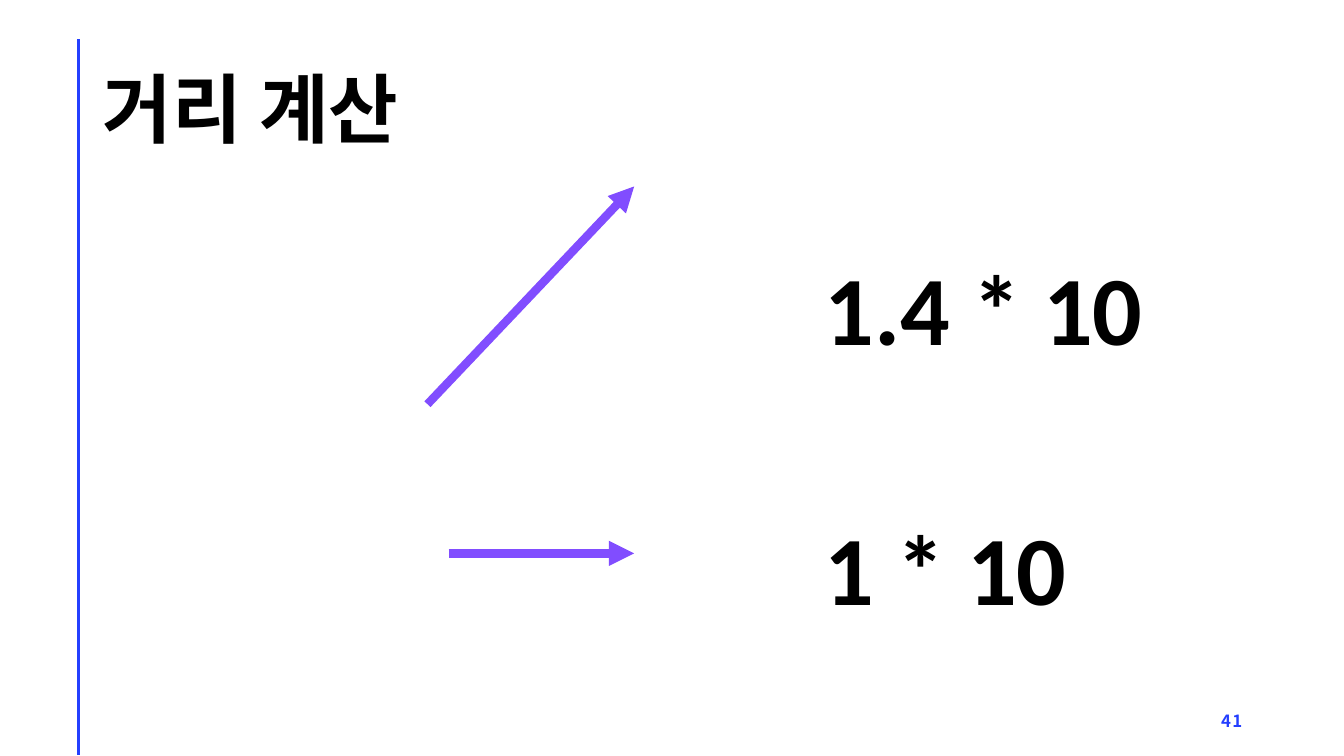
from lxml.etree import SubElement
from pptx import Presentation
from pptx.dml.color import RGBColor
from pptx.enum.shapes import MSO_CONNECTOR
from pptx.enum.text import MSO_ANCHOR, MSO_AUTO_SIZE, PP_ALIGN
from pptx.oxml.ns import qn
from pptx.util import Inches, Pt

BLACK, BLUE, PURPLE = "000000", "243FFF", "814DFF"
KOREAN = "Noto Sans CJK KR"


def write(box, text, size, font=KOREAN, color=BLACK, align=PP_ALIGN.LEFT,
          anchor=MSO_ANCHOR.TOP, leading=None, tracking=None):
    frame = box.text_frame
    frame.word_wrap = True
    frame.vertical_anchor = anchor
    para = frame.paragraphs[0]
    para.alignment = align
    if leading:
        para.line_spacing = leading
    span = para.add_run()
    span.text = text
    span.font.size = Pt(size)
    span.font.bold = True
    span.font.name = font
    span.font.color.rgb = RGBColor.from_string(color)
    props = span.font._element
    SubElement(props, qn("a:ea"), typeface=font)
    if tracking:
        props.set("spc", str(tracking * 100))


def draw_line(page, start, end, color, width, arrow=False):
    line = page.shapes.add_connector(
        MSO_CONNECTOR.STRAIGHT, *[Inches(value) for value in start + end])
    line.line.color.rgb = RGBColor.from_string(color)
    line.line.width = Pt(width)
    if arrow:
        SubElement(line.line._get_or_add_ln(), qn("a:tailEnd"), type="triangle")
    SubElement(line._element.spPr, qn("a:effectLst"))


deck = Presentation()
deck.slide_width, deck.slide_height = Inches(13.33), Inches(7.5)
page = deck.slides.add_slide(deck.slide_layouts[5])

draw_line(page, (0.78, 0.39), (0.78, 7.49), BLUE, 2)

title = page.shapes.title
title.left, title.top = Inches(0.92), Inches(0.4)
title.width, title.height = Inches(11.5), Inches(1.45)
write(title, "거리 계산", 54, anchor=MSO_ANCHOR.MIDDLE, leading=0.9)

number = page.shapes.add_textbox(Inches(9.42), Inches(6.95), Inches(3), Inches(0.4))
write(number, "41", 12, color=BLUE, align=PP_ALIGN.RIGHT,
      anchor=MSO_ANCHOR.MIDDLE, tracking=1)

for start, end in [((4.24, 4.01), (6.29, 1.85)), ((4.45, 5.49), (6.29, 5.49))]:
    draw_line(page, start, end, PURPLE, 6, arrow=True)

for text, top, width in [("1 * 10", 4.99, 4.02), ("1.4 * 10", 2.41, 3.76)]:
    cost = page.shapes.add_textbox(Inches(8.08), Inches(top), Inches(width), Inches(1.28))
    write(cost, text, 70, font="Calibri")
    cost.text_frame.auto_size = MSO_AUTO_SIZE.SHAPE_TO_FIT_TEXT

deck.save("out.pptx")
